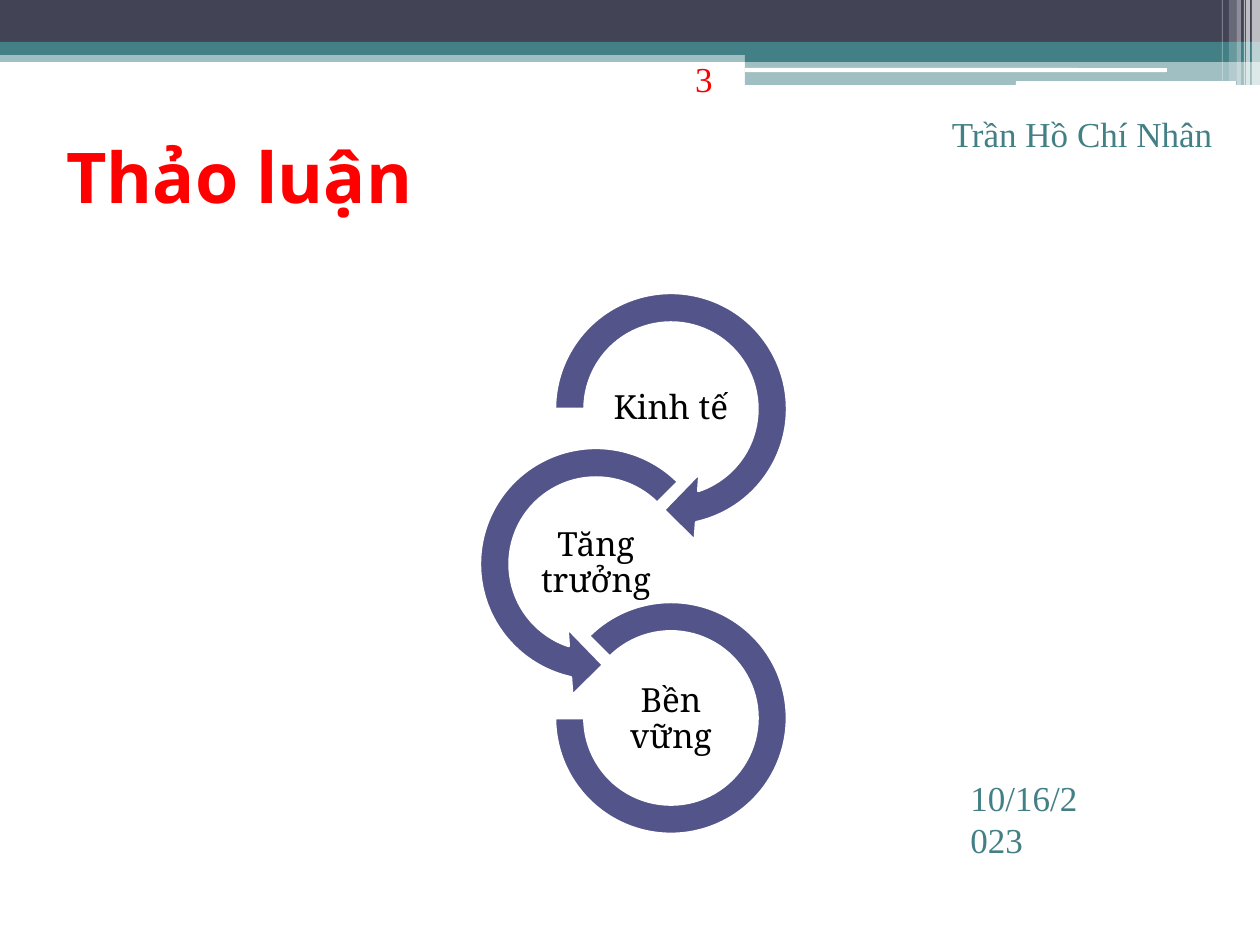
from lxml.etree import SubElement
from pptx import Presentation
from pptx.dml.color import RGBColor
from pptx.enum.shapes import MSO_SHAPE
from pptx.enum.text import MSO_ANCHOR, PP_ALIGN
from pptx.oxml.ns import qn
from pptx.util import Emu, Pt

SCALE = 914400 // 126
WIDTH, HEIGHT = 1260, 945
NAVY = RGBColor(0x42, 0x44, 0x56)
TEAL = RGBColor(0x43, 0x80, 0x86)
INDIGO = RGBColor(0x53, 0x54, 0x8A)
RED = RGBColor(0xFF, 0, 0)
BLACK = RGBColor(0, 0, 0)
WHITE = RGBColor(0xFF, 0xFF, 0xFF)


def px(n):
    """Turn picture pixels into EMU."""
    return Emu(round(n * SCALE))


def write_text(tf, text, *, size, color, font="Times New Roman", bold=False,
               align=PP_ALIGN.LEFT, spacing=None):
    """Fill a text frame with one formatted paragraph."""
    p = tf.paragraphs[0]
    p.alignment = align
    if spacing:
        p.line_spacing = spacing
    r = p.add_run()
    r.text = text
    r.font.size = Pt(size)
    r.font.name = font
    r.font.bold = bold
    r.font.color.rgb = color


class SlideBuilder:
    """Hold the current slide and add styled elements to it."""

    def __init__(self, s):
        """Keep the slide to draw on."""
        self.s = s

    def shape(self, kind, x, y, w, h, color, opacity=100, adj=(), outline=None):
        """Add a filled preset shape."""
        sp = self.s.shapes.add_shape(kind, px(x), px(y), px(w), px(h))
        sp.shadow.inherit = False
        for i, value in enumerate(adj):
            sp.adjustments[i] = value
        sp.fill.solid()
        sp.fill.fore_color.rgb = color
        if opacity < 100:
            clr = sp._element.spPr.find(qn("a:solidFill"))[0]
            SubElement(clr, qn("a:alpha")).set("val", str(opacity * 1000))
        if outline is None:
            sp.line.fill.background()
        else:
            sp.line.color.rgb = outline
            sp.line.width = Pt(1.5)
        return sp

    def text(self, text, x, y, w, h, anchor=MSO_ANCHOR.TOP, inset=None, **style):
        """Add a wrapping text box."""
        tf = self.s.shapes.add_textbox(px(x), px(y), px(w), px(h)).text_frame
        tf.word_wrap = True
        tf.vertical_anchor = anchor
        if inset is not None:
            tf.margin_left = tf.margin_right = px(inset)
            tf.margin_top = tf.margin_bottom = px(inset)
        write_text(tf, text, **style)

    def header(self):
        """Draw the bands, white rules and right-hand stripes."""
        for x, y, w, h, color, opacity in (
            (0, 50, WIDTH, 12, TEAL, 50),
            (0, 0, WIDTH, 42, NAVY, 100),
            (0, 42, WIDTH, 13, TEAL, 100),
            (745, 49, 515, 13, TEAL, 100),
            (745, 61, 515, 24, TEAL, 50),
        ):
            self.shape(MSO_SHAPE.RECTANGLE, x, y, w, h, color, opacity)
        for x, y, w, h in ((745, 68, 422, 4), (1016, 81, 220, 5)):
            self.shape(MSO_SHAPE.ROUNDED_RECTANGLE, x, y, w, h, WHITE, adj=(0.17,))
        for x, w, h, opacity in ((1252, 8, 85, 65), (1246, 4, 85, 65),
                                 (1244, 1, 85, 60), (1237, 4, 85, 40),
                                 (1229, 8, 81, 20), (1222, 1, 81, 30)):
            self.shape(MSO_SHAPE.RECTANGLE, x, 0, w, h, WHITE, opacity)

    def step(self, text, kind, center, top, size, adj, label_top):
        """Add a ring and its centred label."""
        self.shape(kind, center - size / 2, top, size, size, INDIGO,
                   adj=adj, outline=WHITE)
        self.text(text, center - 75, label_top, 150, 74, MSO_ANCHOR.MIDDLE, 1,
                  size=19, color=BLACK, font="Noto Serif",
                  align=PP_ALIGN.CENTER, spacing=0.9)


prs = Presentation()
prs.slide_width, prs.slide_height = px(WIDTH), px(HEIGHT)
slide = SlideBuilder(prs.slides.add_slide(prs.slide_layouts[6]))

slide.header()
slide.text("Thảo luận", 54, 36, 1071, 188, MSO_ANCHOR.BOTTOM,
           size=40, color=RED, font="Open Sans", bold=True)
slide.text("10/16/2023", 958, 770, 132, 63, size=20, color=TEAL)
slide.text("Trần Hồ Chí Nhân", 937, 106, 288, 63, size=20, color=TEAL,
           align=PP_ALIGN.RIGHT)
slide.text("3", 620, 55, 105, 51, MSO_ANCHOR.BOTTOM, size=20, color=RED,
           align=PP_ALIGN.RIGHT)

for step in (
    ("Kinh tế", MSO_SHAPE.CIRCULAR_ARROW, 671, 274, 270,
     (0.11, 11.42, 45, 108, 0.125), 372),
    ("Tăng trưởng", MSO_SHAPE.LEFT_CIRCULAR_ARROW, 596, 429, 270,
     (0.11, 11.42, 63, 189, 0.125), 527),
    ("Bền vững", MSO_SHAPE.BLOCK_ARC, 671, 602, 232,
     (135, 108, 0.127), 683),
):
    slide.step(*step)

prs.save("out.pptx")
